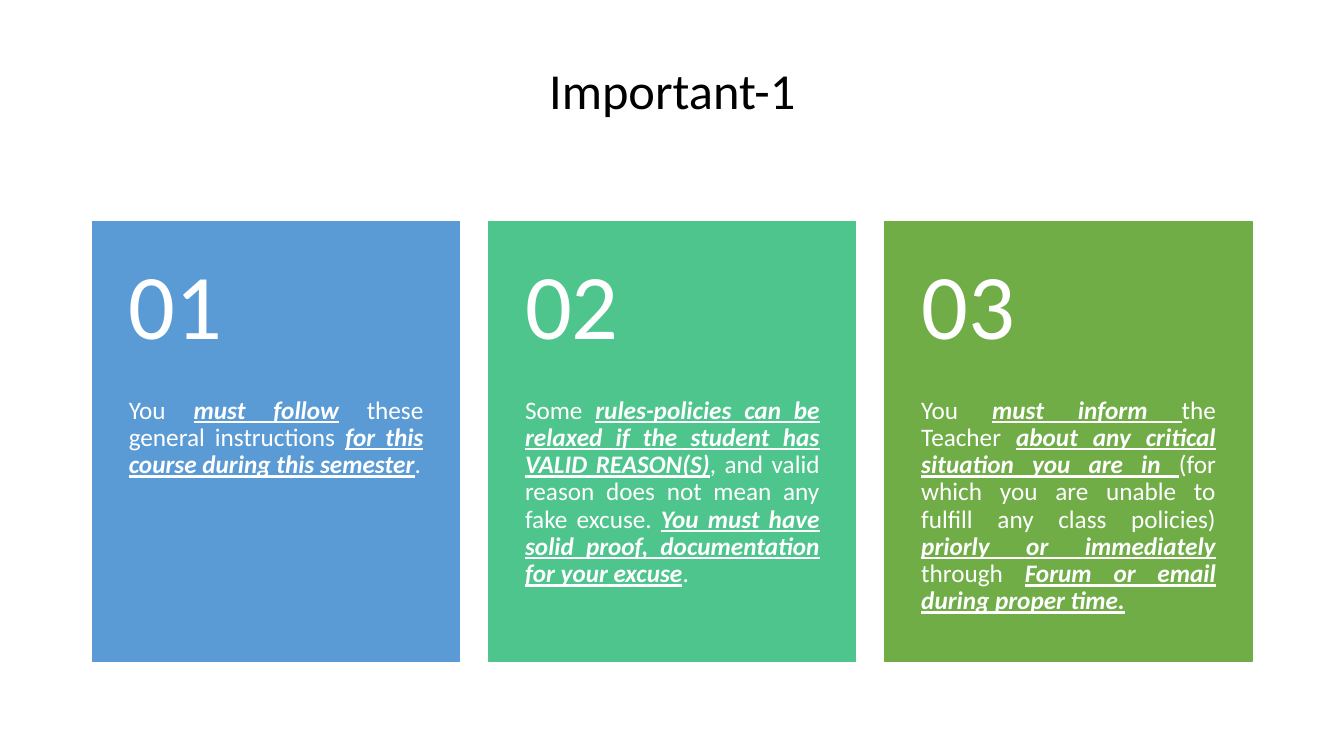
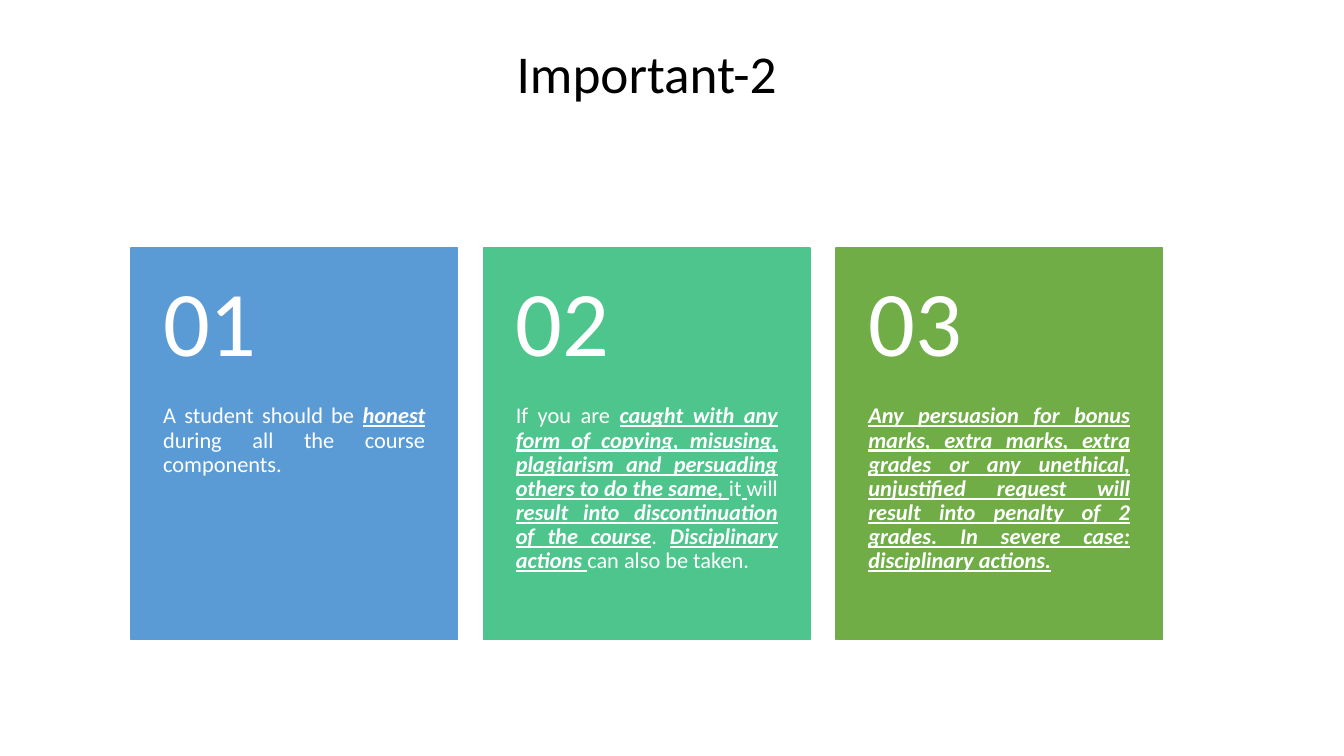
from dataclasses import dataclass

from pptx import Presentation
from pptx.dml.color import RGBColor
from pptx.enum.shapes import MSO_SHAPE
from pptx.enum.text import MSO_ANCHOR, MSO_AUTO_SIZE, PP_ALIGN
from pptx.util import Inches, Pt


@dataclass(frozen=True)
class Theme:
    font: str = "Calibri"
    ink: str = "000000"
    paper: str = "FFFFFF"
    cards: tuple = ("5B9BD5", "4DC58D", "70AD47")
    number: int = 66
    spacing: float = 0.9
    # Shares of a card's width
    gap: float = 0.08
    ratio: float = 1.2
    pad: float = 0.0985
    # Share of a card's height
    head: float = 0.4


def write(shape, text, *, theme, size, color, align=PP_ALIGN.LEFT,
          anchor=MSO_ANCHOR.TOP, inset=(0.1, 0.05, 0.1, 0.05)):
    """Fill a shape with one paragraph; text between asterisks is stressed."""
    frame = shape.text_frame
    frame.word_wrap = True
    frame.auto_size = MSO_AUTO_SIZE.NONE
    frame.vertical_anchor = anchor
    (frame.margin_left, frame.margin_top,
     frame.margin_right, frame.margin_bottom) = map(Inches, inset)
    para = frame.paragraphs[0]
    para.alignment = align
    para.line_spacing = theme.spacing
    for index, part in enumerate(text.split("*")):
        if not part:
            continue
        run = para.add_run()
        run.text = part
        font = run.font
        font.name, font.size = theme.font, Pt(size)
        font.color.rgb = RGBColor.from_string(color)
        font.bold = font.italic = font.underline = index % 2 == 1


class Deck:
    """Holds the theme and the current slide; takes lengths in percent of it."""

    def __init__(self, theme, width=13.33, height=7.5):
        self.theme, self.width, self.height = theme, width, height
        self.file = Presentation()
        self.file.slide_width = Inches(width)
        self.file.slide_height = Inches(height)

    def across(self, share):
        return self.width * share / 100

    def down(self, share):
        return self.height * share / 100

    def start(self):
        layout = self.file.slide_layouts.get_by_name("Title Only")
        self.slide = self.file.slides.add_slide(layout)

    def title(self, text, left, top, width, height, size):
        shape = self.slide.shapes.title
        shape.left, shape.width = (Inches(self.across(v)) for v in (left, width))
        shape.top, shape.height = (Inches(self.down(v)) for v in (top, height))
        write(shape, text, theme=self.theme, size=size,
              color=self.theme.ink, align=PP_ALIGN.CENTER)

    def card(self, number, text, left, top, width, size):
        """Draw a numbered card at a place given in inches."""
        theme = self.theme
        height = width * theme.ratio
        head = height * theme.head
        pad = width * theme.pad
        shapes = self.slide.shapes.add_group_shape().shapes
        color = RGBColor.from_string(theme.cards[number - 1])

        panel = shapes.add_shape(MSO_SHAPE.RECTANGLE,
                                 *map(Inches, (left, top, width, height)))
        panel.shadow.inherit = False
        panel.fill.solid()
        panel.fill.fore_color.rgb = color
        panel.line.color.rgb = color
        panel.line.width = Pt(1)

        body = shapes.add_textbox(
            *map(Inches, (left, top + head, width, height - head)))
        write(body, text, theme=theme, size=size, color=theme.paper,
              align=PP_ALIGN.JUSTIFY, inset=(pad, 0, pad, 0.36))

        label = shapes.add_textbox(*map(Inches, (left, top, width, head)))
        write(label, f"{number:02}", theme=theme, size=theme.number,
              color=theme.paper, anchor=MSO_ANCHOR.MIDDLE,
              inset=(pad, 0.18, pad, 0.18))

    def row(self, texts, left, top, width, size):
        """Spread cards evenly over the given width."""
        gap = self.theme.gap
        count = len(texts)
        wide = self.across(width) / (count + (count - 1) * gap)
        for index, text in enumerate(texts):
            place = self.across(left) + index * wide * (1 + gap)
            self.card(index + 1, text, place, self.down(top), wide, size)

    def save(self):
        self.file.save("out.pptx")


RULES = (
    "You *must follow* these general instructions "
    "*for this course during this semester*.",
    "Some *rules-policies can be relaxed if the student has VALID REASON(S)*, "
    "and valid reason does not mean any fake excuse. "
    "*You must have solid proof, documentation for your excuse*.",
    "You *must inform *the Teacher *about any critical situation you are in *"
    "(for which you are unable to fulfill any class policies) "
    "*priorly or immediately *through *Forum or email during proper time.*",
)

HONESTY = (
    "A student should be *honest* during all the course components.",
    "If you are *caught with any form of copying, misusing, plagiarism and "
    "persuading others to do the same, *it* *will "
    "*result into discontinuation of the course*. "
    "*Disciplinary actions *can also be taken.",
    "*Any persuasion for bonus marks, extra marks, extra grades or any "
    "unethical, unjustified request will result into penalty of 2 grades. "
    "In severe case: disciplinary actions.*",
)


def main():
    deck = Deck(Theme())

    deck.start()
    deck.title("Important-1", 6.9, 8.1, 86.25, 16.5, size=36)
    deck.row(RULES, 6.9, 29.3, 86.25, size=18)

    deck.start()
    deck.title("Important-2", 9.75, 5.6, 76.75, 17.5, size=38)
    deck.row(HONESTY, 9.75, 32.8, 76.75, size=16)

    deck.save()


if __name__ == "__main__":
    main()
